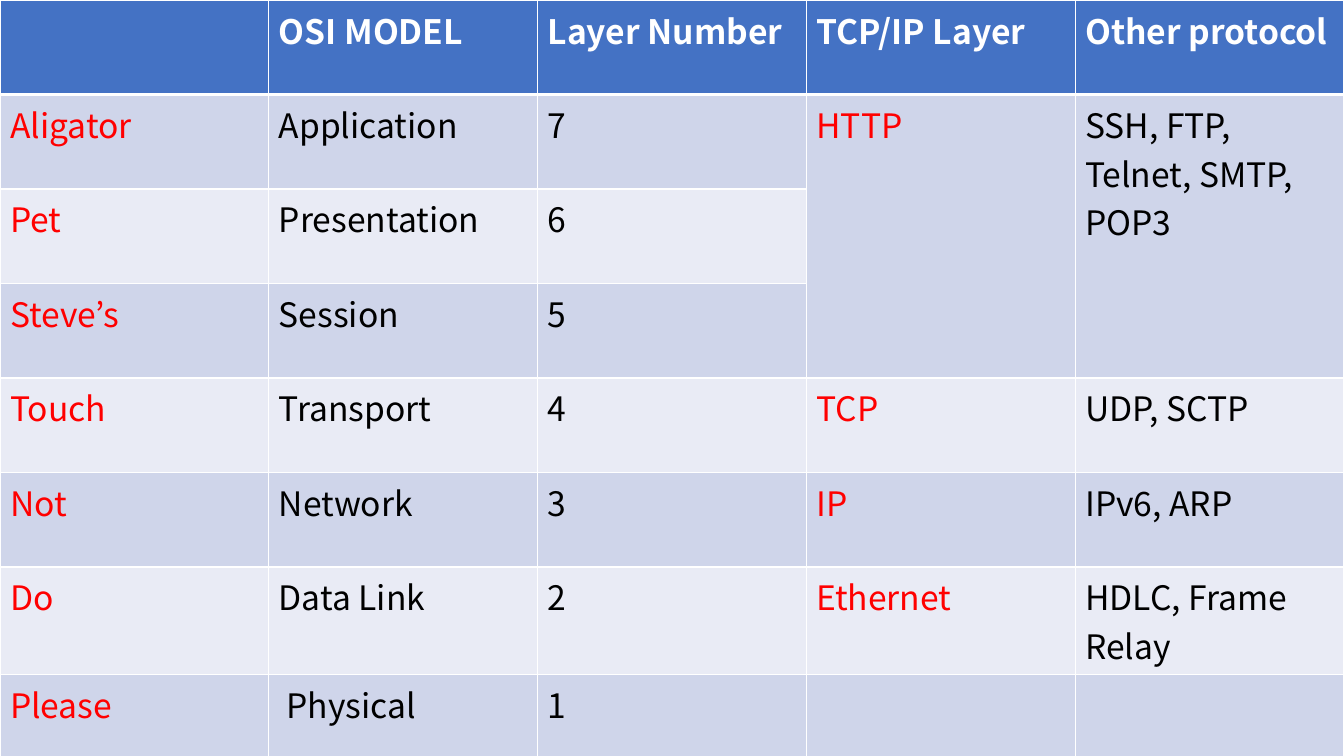
"""Build a slide with a table of the network layers and their protocols."""
from lxml.etree import SubElement as Sub
from pptx import Presentation
from pptx.dml.color import RGBColor as Rgb
from pptx.oxml.ns import qn
from pptx.util import Inches, Pt

COLORS = {
    "head": "4472C4",
    "dark": "CFD5EA",
    "light": "E9EBF5",
    "white": "FFFFFF",
    "black": "000000",
    "red": "FF0000",
}
WIDTH, HEIGHT = 13.33, 7.5
HEAD = ["", "OSI MODEL", "Layer Number", "TCP/IP Layer", "Other protocol"]
LAYERS = [
    ["Aligator", "Application", "7", "HTTP", "SSH, FTP, Telnet, SMTP, POP3"],
    ["Pet", "Presentation", "6", "", ""],
    ["Steve’s", "Session", "5", "", ""],
    ["Touch", "Transport", "4", "TCP", "UDP, SCTP"],
    ["Not", "Network", "3", "IP", "IPv6, ARP"],
    ["Do", "Data Link", "2", "Ethernet", "HDLC, Frame Relay"],
    ["Please", " Physical", "1", "", ""],
]
RED_COLS = (0, 3)
MERGED_COLS = (3, 4)


class Deck:
    def __init__(self, slide, font, size):
        self.slide, self.font, self.size = slide, font, size

    def text(self, frame, words, color, bold):
        run = frame.paragraphs[0].add_run()
        run.text = words
        run.font.name = self.font
        run.font.size = Pt(self.size)
        run.font.bold = bold
        run.font.color.rgb = Rgb.from_string(COLORS[color])

    def edge(self, cell, side, width):
        line = Sub(cell._tc.get_or_add_tcPr(), qn("a:ln" + side), w=str(Pt(width)))
        Sub(Sub(line, qn("a:solidFill")), qn("a:srgbClr"), val=COLORS["white"])

    def cell(self, cell, words, fill, color, bold, top, low):
        for side, width in zip("LRTB", (1, 1, top, low)):
            self.edge(cell, side, width)
        cell.fill.solid()
        cell.fill.fore_color.rgb = Rgb.from_string(COLORS[fill])
        if words:
            self.text(cell.text_frame, words, color, bold)

    def table(self, rows, width, height):
        count, span = len(rows), len(rows[0])
        grid = self.slide.shapes.add_table(
            count, span, 0, 0, Inches(width), Inches(height)).table
        for col in grid.columns:
            col.width = Inches(width / span)
        for row in grid.rows:
            row.height = Inches(height / count)
        for r, row in enumerate(rows):
            fill = "head" if r == 0 else "dark" if r % 2 else "light"
            for c, words in enumerate(row):
                color = "white" if r == 0 else "red" if c in RED_COLS else "black"
                self.cell(grid.cell(r, c), words, fill, color, r == 0,
                          3 if r == 1 else 1, 3 if r == 0 else 1)
        return grid


show = Presentation()
show.slide_width, show.slide_height = Inches(WIDTH), Inches(HEIGHT)
deck = Deck(show.slides.add_slide(show.slide_layouts[6]), "Noto Sans CJK KR", 24)
grid = deck.table([HEAD] + LAYERS, WIDTH, HEIGHT)
for col in MERGED_COLS:
    grid.cell(1, col).merge(grid.cell(3, col))
show.save("out.pptx")
